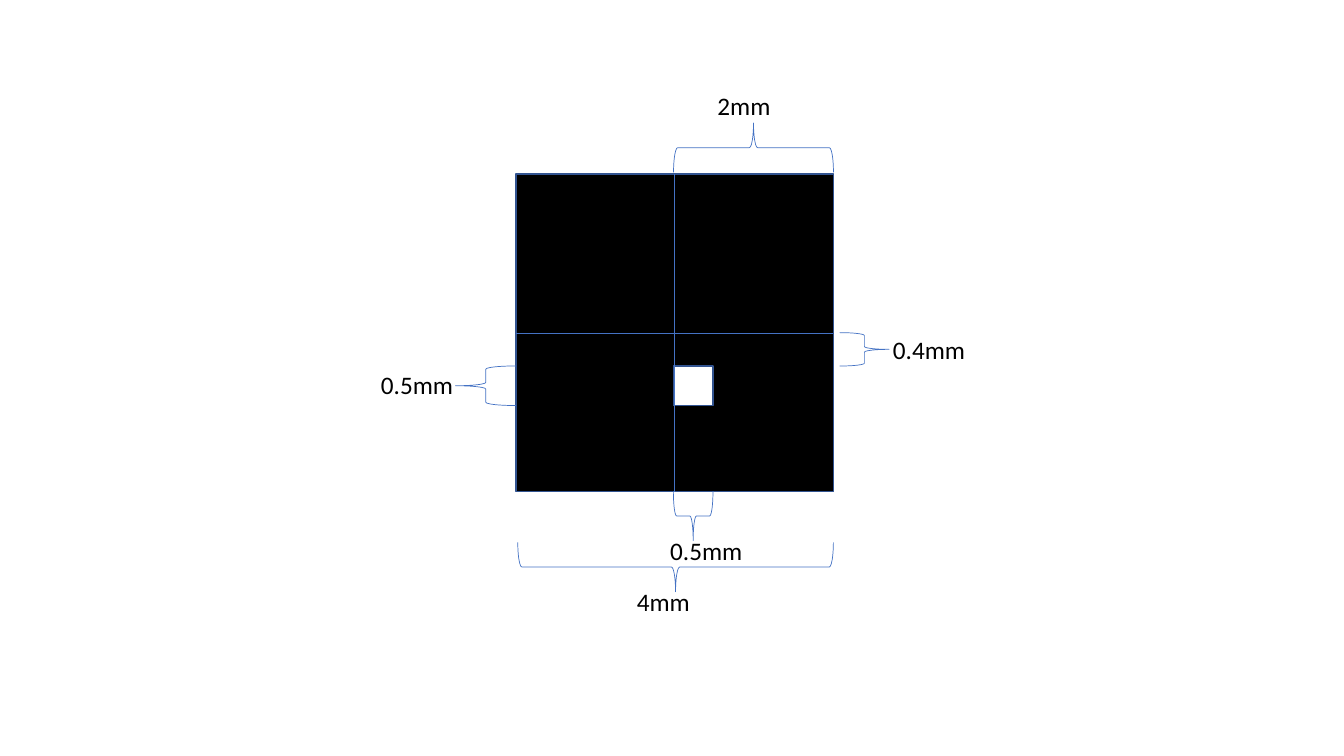
"""Draw a 4 mm black square with an offset white window and its dimensions."""
from dataclasses import dataclass

from lxml import etree
from pptx import Presentation
from pptx import util as u
from pptx.dml.color import RGBColor
from pptx.enum import shapes, text
from pptx.oxml.ns import qn
from pptx.slide import Slide


@dataclass(frozen=True)
class Theme:
    black: RGBColor = RGBColor(0x00, 0x00, 0x00)
    white: RGBColor = RGBColor(0xFF, 0xFF, 0xFF)
    outline: RGBColor = RGBColor(0x32, 0x54, 0x91)
    guide: RGBColor = RGBColor(0x44, 0x72, 0xC4)
    outline_width: float = 1
    guide_width: float = 0.5
    font: str = "Calibri"
    label_size: float = 18
    label_height: float = 29.08


@dataclass(frozen=True)
class Square:
    left: float
    top: float
    side: float
    fill: RGBColor


@dataclass(frozen=True)
class Guide:
    x1: float
    y1: float
    x2: float
    y2: float


@dataclass(frozen=True)
class Dimension:
    label: str
    label_left: float
    label_top: float
    label_width: float
    center_x: float
    center_y: float
    depth: float
    span: float
    rotation: float


THEME = Theme()
LEFT, TOP, SIDE = 368.5, 124.4, 226.8
MID_X, MID_Y = LEFT + SIDE / 2, TOP + SIDE / 2
RIGHT, BOTTOM = LEFT + SIDE, TOP + SIDE
DEPTH = 35.3
WINDOW = Square(481, 261.4, 28.3, THEME.white)
WINDOW_X = WINDOW.left + WINDOW.side / 2
WINDOW_Y = WINDOW.top + WINDOW.side / 2

SQUARES = [Square(LEFT, TOP, SIDE, THEME.black), WINDOW]
GUIDES = [
    Guide(MID_X, TOP, MID_X, BOTTOM),
    Guide(LEFT, MID_Y, RIGHT, MID_Y),
]
DIMENSIONS = [
    Dimension("0.5mm", 265, 260.6, 66.2, 347, WINDOW_Y, 43.2, WINDOW.side, 0),
    Dimension("0.5mm", 471.6, 378.7, 66.2, WINDOW_X, 368.5, DEPTH, WINDOW.side, 270),
    Dimension("4mm", 447.8, 415.4, 52.6, 482.6, 405, DEPTH, 225.4, 270),
    Dimension("0.4mm", 630.7, 235.4, 66.2, 617.4, 249.5, DEPTH, 23.8, 180),
    Dimension("2mm", 505.4, 61.2, 52.6, 538.2, 105.5, DEPTH, 114.2, 90),
]


def add_square(s: Slide, square: Square) -> None:
    sp = s.shapes.add_shape(
        shapes.MSO_SHAPE.RECTANGLE,
        u.Pt(square.left), u.Pt(square.top), u.Pt(square.side), u.Pt(square.side),
    )
    sp.shadow.inherit = False
    sp.fill.solid()
    sp.fill.fore_color.rgb = square.fill
    sp.line.color.rgb = THEME.outline
    sp.line.width = u.Pt(THEME.outline_width)


def add_guide(s: Slide, guide: Guide) -> None:
    line = s.shapes.add_connector(
        shapes.MSO_CONNECTOR.STRAIGHT,
        u.Pt(guide.x1), u.Pt(guide.y1), u.Pt(guide.x2), u.Pt(guide.y2),
    )
    line.line.color.rgb = THEME.guide
    line.line.width = u.Pt(THEME.guide_width)
    etree.SubElement(line._element.spPr, qn("a:effectLst"))


def add_brace(s: Slide, dim: Dimension) -> None:
    sp = s.shapes.add_shape(
        shapes.MSO_SHAPE.LEFT_BRACE,
        u.Pt(dim.center_x - dim.depth / 2), u.Pt(dim.center_y - dim.span / 2),
        u.Pt(dim.depth), u.Pt(dim.span),
    )
    sp.rotation = dim.rotation
    sp.shadow.inherit = False
    sp.fill.background()
    sp.line.color.rgb = THEME.guide
    sp.line.width = u.Pt(THEME.guide_width)


def add_label(s: Slide, dim: Dimension) -> None:
    sp = s.shapes.add_textbox(
        u.Pt(dim.label_left), u.Pt(dim.label_top),
        u.Pt(dim.label_width), u.Pt(THEME.label_height),
    )
    tf = sp.text_frame
    tf.word_wrap = False
    tf.auto_size = text.MSO_AUTO_SIZE.SHAPE_TO_FIT_TEXT
    p = tf.paragraphs[0]
    r = p.add_run()
    r.text = dim.label
    r.font.name = THEME.font
    r.font.size = u.Pt(THEME.label_size)
    r.font.color.rgb = THEME.black


def main() -> None:
    prs = Presentation()
    prs.slide_width, prs.slide_height = u.Pt(960), u.Pt(540)
    s = prs.slides.add_slide(prs.slide_layouts[6])
    for square in SQUARES:
        add_square(s, square)
    for guide in GUIDES:
        add_guide(s, guide)
    for dim in DIMENSIONS:
        add_brace(s, dim)
    for dim in DIMENSIONS:
        add_label(s, dim)
    prs.save("out.pptx")


if __name__ == "__main__":
    main()
